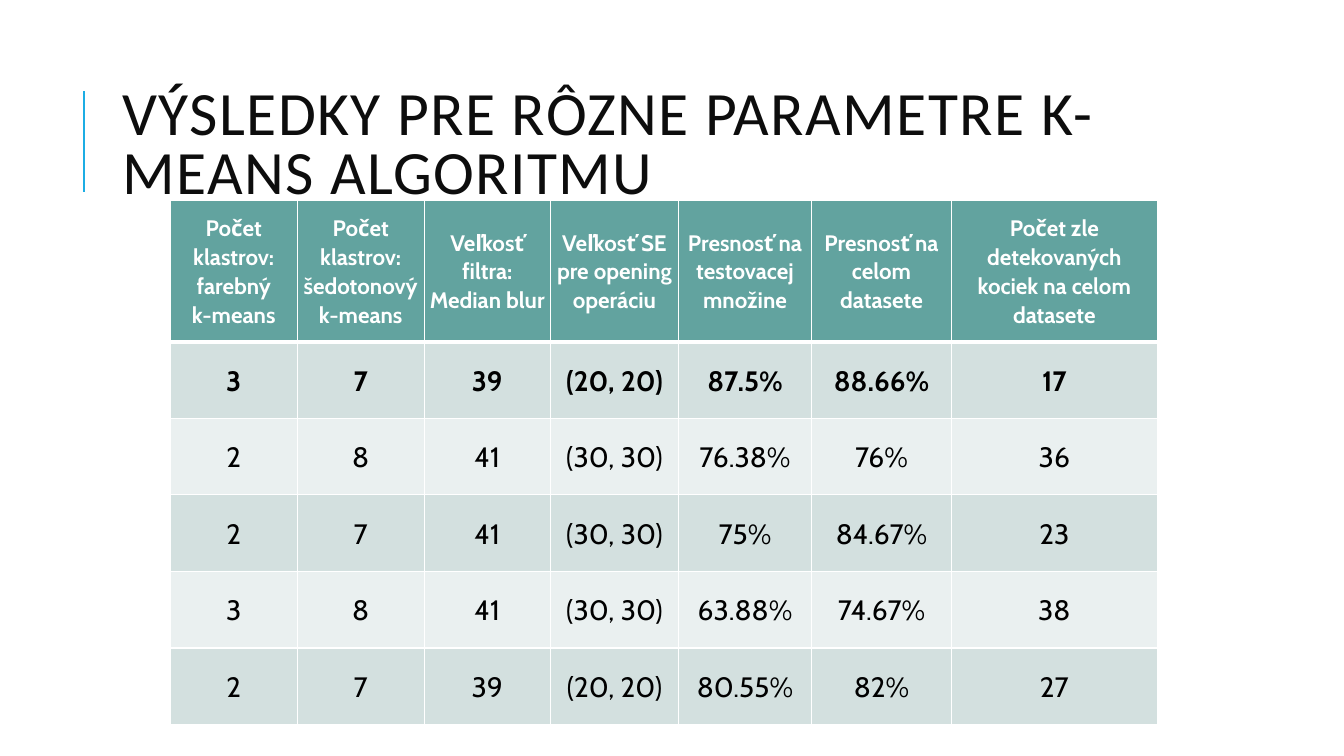
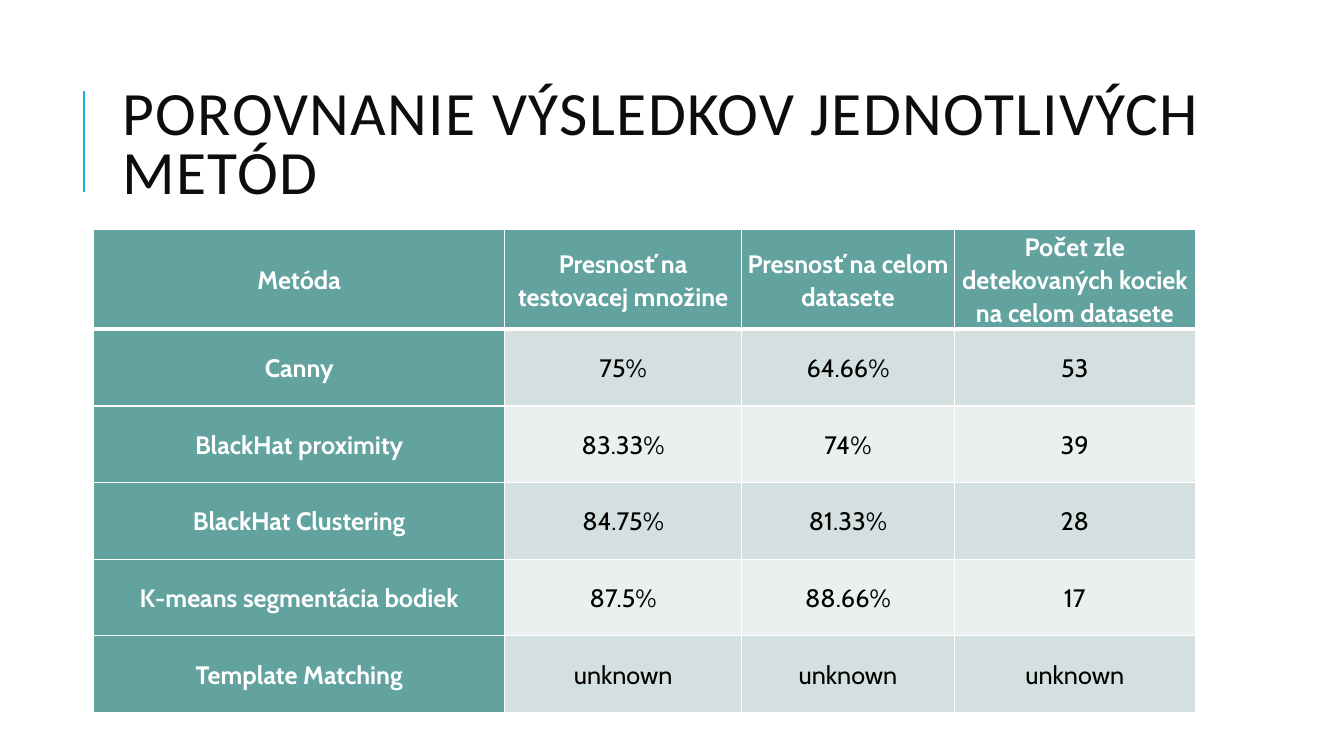
"""Build two slides comparing dice detection results in tables."""
from lxml.etree import SubElement
from pptx import Presentation
from pptx.dml.color import RGBColor
from pptx.enum.shapes import MSO_CONNECTOR
from pptx.enum.text import MSO_ANCHOR, PP_ALIGN
from pptx.oxml.ns import qn
from pptx.util import Cm, Pt

WHITE = RGBColor(0xFF, 0xFF, 0xFF)
BLACK = RGBColor(0x00, 0x00, 0x00)
TITLE_INK = RGBColor(0x0D, 0x0D, 0x0D)
ACCENT_BLUE = RGBColor(0x1C, 0xAD, 0xE4)
TEAL = RGBColor(0x62, 0xA3, 0x9F)
BANDS = (RGBColor(0xD3, 0xE0, 0xDF), RGBColor(0xEA, 0xF0, 0xF0))

TITLE_FONT = "Calibri"
TABLE_FONT = "Cabin"
BODY_ROW_HEIGHT = 1.93

PARAMETER_ROWS = [
    ("Počet klastrov: farebný\nk-means", "Počet klastrov: šedotonový k-means",
     "Veľkosť filtra:\nMedian blur", "Veľkosť SE pre opening operáciu",
     "Presnosť na testovacej množine", "Presnosť na celom datasete",
     "Počet zle detekovaných kociek na celom datasete"),
    ("3", "7", "39", "(20, 20)", "87.5%", "88.66%", "17"),
    ("2", "8", "41", "(30, 30)", "76.38%", "76%", "36"),
    ("2", "7", "41", "(30, 30)", "75%", "84.67%", "23"),
    ("3", "8", "41", "(30, 30)", "63.88%", "74.67%", "38"),
    ("2", "7", "39", "(20, 20)", "80.55%", "82%", "27"),
]

METHOD_ROWS = [
    ("Metóda", "Presnosť na testovacej množine", "Presnosť na celom datasete",
     "Počet zle detekovaných kociek na celom datasete"),
    ("Canny", "75%", "64.66%", "53"),
    ("BlackHat proximity", "83.33%", "74%", "39"),
    ("BlackHat Clustering", "84.75%", "81.33%", "28"),
    ("K-means segmentácia bodiek", "87.5%", "88.66%", "17"),
    ("Template Matching", "unknown", "unknown", "unknown"),
]


def add_titled_slide(deck, title):
    """Add a blank slide with the accent line and the title."""
    slide = deck.slides.add_slide(deck.slide_layouts[6])
    accent = slide.shapes.add_connector(
        MSO_CONNECTOR.STRAIGHT, Cm(2.11), Cm(4.83), Cm(2.11), Cm(2.29))
    accent.line.color.rgb = ACCENT_BLUE
    accent.line.width = Pt(1.5)
    SubElement(accent.line._get_or_add_ln().getparent(), qn("a:effectLst"))

    heading = slide.shapes.add_textbox(Cm(2.84), Cm(1.63), Cm(27.76), Cm(4.17))
    frame = heading.text_frame
    frame.word_wrap = True
    frame.vertical_anchor = MSO_ANCHOR.MIDDLE
    frame.text = title
    paragraph = frame.paragraphs[0]
    paragraph.line_spacing = 0.8
    run = paragraph.runs[0]
    style_font(run.font, TITLE_FONT, 44, TITLE_INK)
    run.font._element.set("spc", "100")
    return slide


def style_font(font, name, size, color, bold=False):
    """Set the typeface, size, colour and weight of a font."""
    font.name = name
    font.size = Pt(size)
    font.color.rgb = color
    font.bold = bold


def add_borders(cell, top, bottom):
    """Draw white cell borders with the given top and bottom widths."""
    properties = cell._tc.get_or_add_tcPr()
    for side, width in (("L", 1), ("R", 1), ("T", top), ("B", bottom)):
        border = SubElement(properties, qn(f"a:ln{side}"), w=str(Pt(width)))
        fill = SubElement(border, qn("a:solidFill"))
        SubElement(fill, qn("a:srgbClr"), val=str(WHITE))


def fill_cell(cell, text, size, color, background, bold):
    """Write centred text into a cell and colour its background."""
    cell.fill.solid()
    cell.fill.fore_color.rgb = background
    cell.vertical_anchor = MSO_ANCHOR.MIDDLE
    cell.margin_left = cell.margin_right = Cm(0.13)
    cell.margin_top = cell.margin_bottom = 0
    cell.text_frame.text = text
    for paragraph in cell.text_frame.paragraphs:
        paragraph.alignment = PP_ALIGN.CENTER
        paragraph.line_spacing = 1.07
        for run in paragraph.runs:
            style_font(run.font, TABLE_FONT, size, color, bold)


def add_results_table(slide, rows, left, top, widths, header_height,
                      header_size, body_size, best_row=None, label_column=False):
    """Add a banded table with a teal header and optional label column."""
    heights = [header_height] + [BODY_ROW_HEIGHT] * (len(rows) - 1)
    results = slide.shapes.add_table(
        len(rows), len(widths), Cm(left), Cm(top),
        Cm(sum(widths)), Cm(sum(heights))).table
    results.first_col = label_column
    for column, width in zip(results.columns, widths):
        column.width = Cm(width)
    for row, height in zip(results.rows, heights):
        row.height = Cm(height)

    for r, texts in enumerate(rows):
        for c, text in enumerate(texts):
            cell = results.cell(r, c)
            is_label = r == 0 or (label_column and c == 0)
            add_borders(cell, top=3 if r == 1 else 1, bottom=3 if r == 0 else 1)
            fill_cell(cell, text,
                      size=header_size if r == 0 else body_size,
                      color=WHITE if is_label else BLACK,
                      background=TEAL if is_label else BANDS[(r - 1) % 2],
                      bold=is_label or r == best_row)


def main():
    """Build and save the presentation."""
    deck = Presentation()
    deck.slide_width, deck.slide_height = Cm(33.87), Cm(19.05)

    parameters = add_titled_slide(
        deck, "VÝSLEDKY PRE RÔZNE PARAMETRE K-MEANS ALGORITMU")
    add_results_table(parameters, PARAMETER_ROWS, left=4.29, top=5.05,
                      widths=[3.2, 3.2, 3.18, 3.23, 3.35, 3.53, 5.18],
                      header_height=3.56, header_size=16, body_size=20,
                      best_row=1)

    methods = add_titled_slide(deck, "POROVNANIE VÝSLEDKOV JEDNOTLIVÝCH METÓD")
    add_results_table(methods, METHOD_ROWS, left=2.36, top=5.79,
                      widths=[10.36, 5.97, 5.36, 6.07],
                      header_height=2.51, header_size=18, body_size=18,
                      label_column=True)

    deck.save("out.pptx")


if __name__ == "__main__":
    main()
